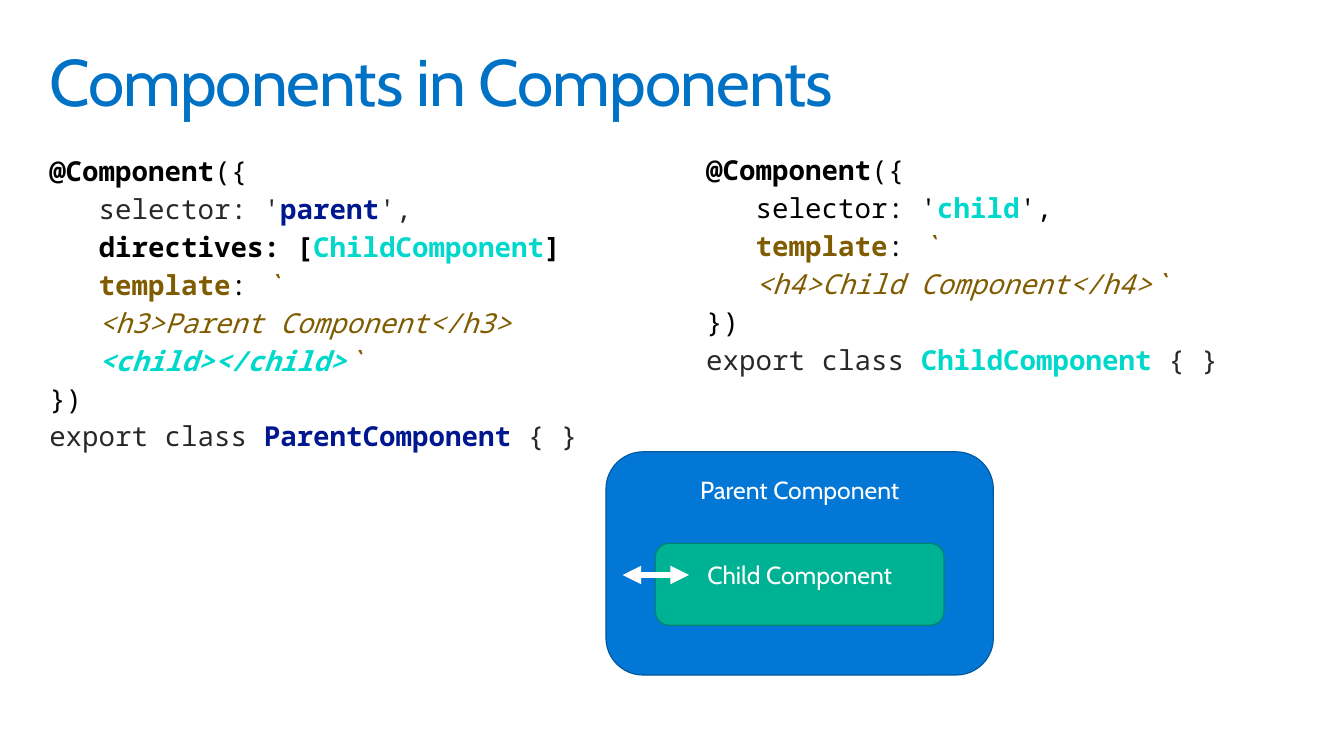
from dataclasses import dataclass

from lxml import etree
from pptx import Presentation
from pptx import util as u
from pptx.dml.color import RGBColor
from pptx.enum import shapes, text
from pptx.oxml import ns

WIDTH, HEIGHT = u.Inches(13.6), u.Inches(7.65)
COLUMNS, ROWS = 34, 17


@dataclass(frozen=True)
class Theme:
    heading: str = "0072C6"
    black: str = "000000"
    gray: str = "282828"
    navy: str = "00188F"
    aqua: str = "00D8CC"
    brown: str = "7F5C00"
    white: str = "FFFFFF"
    parent_fill: str = "0377D6"
    parent_line: str = "02589E"
    child_fill: str = "00B294"
    child_line: str = "00846D"
    font: str = "Cabin"
    code_font: str = "Noto Sans Mono"
    title_size: int = 48
    code_size: int = 20
    label_size: int = 18


T = Theme()

# Each code line is (indented, runs); a run is (words, colour, style letters).
OPENING = (False, [("@Component", T.black, "b"), ("({", T.black, "")])
TEMPLATE = (True, [("template", T.brown, "b"), (": ", T.black, ""), ("`", T.brown, "i")])
CLOSING = (False, [("})", T.black, "")])


def selector(name, colour, plain):
    return True, [("selector: '", plain, ""), (name, colour, "b"), ("',", plain, "")]


def export(name, colour):
    return False, [("export class ", T.gray, ""), (name + " ", colour, "b"),
                   ("{ }", T.gray, "")]


PARENT_CODE = [
    OPENING,
    selector("parent", T.navy, T.gray),
    (True, [("directives: [", T.black, "b"), ("ChildComponent", T.aqua, "b"),
            ("]", T.black, "b")]),
    TEMPLATE,
    (True, [("<h3>Parent Component</h3>", T.brown, "i")]),
    (True, [("<child></child>", T.aqua, "bi"), ("`", T.brown, "i")]),
    CLOSING,
    export("ParentComponent", T.navy),
]
CHILD_CODE = [
    OPENING,
    selector("child", T.aqua, T.black),
    TEMPLATE,
    (True, [("<h4>Child Component</h4>`", T.brown, "i")]),
    CLOSING,
    export("ChildComponent", T.aqua),
]


def col(n):
    return round(WIDTH * n / COLUMNS)


def row(n):
    return round(HEIGHT * n / ROWS)


def box(left, top, width, height):
    return col(left), row(top), col(width), row(height)


def rgb(colour):
    return RGBColor.from_string(colour)


def set_frame(tf, side, end):
    """Top-anchored, wrapping text with the given insets in inches."""
    tf.word_wrap = True
    tf.auto_size = text.MSO_AUTO_SIZE.NONE
    tf.vertical_anchor = text.MSO_ANCHOR.TOP
    tf.margin_left = tf.margin_right = u.Inches(side)
    tf.margin_top = tf.margin_bottom = u.Inches(end)


def set_paragraph(p, font, size, align=text.PP_ALIGN.LEFT):
    p.alignment = align
    p.line_spacing = 0.9
    p.font.name = font
    p.font.size = u.Pt(size)


def add_title(slide, words):
    sp = slide.shapes.title
    sp.left, sp.top, sp.width, sp.height = box(1, 0.89, 32, 2.22)
    set_frame(sp.text_frame, 0.1, 0.1)
    p = sp.text_frame.paragraphs[0]
    set_paragraph(p, T.font, T.title_size)
    p.font.color.rgb = rgb(T.heading)
    r = p.add_run()
    r.text = words
    r._r.get_or_add_rPr().set("spc", "-70")


def add_code(slide, place, lines):
    tf = slide.shapes.add_textbox(*place).text_frame
    set_frame(tf, 0.1, 0.1)
    for i, (indented, runs) in enumerate(lines):
        p = tf.add_paragraph() if i else tf.paragraphs[0]
        set_paragraph(p, T.code_font, T.code_size)
        p.space_before = u.Pt(6)
        if indented:
            p._p.get_or_add_pPr().set("marL", str(u.Inches(0.5)))
        for words, colour, style in runs:
            r = p.add_run()
            r.text = words
            r.font.color.rgb = rgb(colour)
            r.font.bold = "b" in style
            r.font.italic = "i" in style


def add_component(slide, place, label, fill, line):
    sp = slide.shapes.add_shape(shapes.MSO_SHAPE.ROUNDED_RECTANGLE, *place)
    sp.shadow.inherit = False
    sp.fill.solid()
    sp.fill.fore_color.rgb = rgb(fill)
    sp.line.color.rgb = rgb(line)
    sp.line.width = u.Pt(0.85)
    set_frame(sp.text_frame, 0.2, 0.16)
    p = sp.text_frame.paragraphs[0]
    set_paragraph(p, T.font, T.label_size, text.PP_ALIGN.CENTER)
    p.font.color.rgb = rgb(T.white)
    p.add_run().text = label


def add_double_arrow(slide, start, end, y):
    line = slide.shapes.add_connector(
        shapes.MSO_CONNECTOR.STRAIGHT, col(start), row(y), col(end), row(y))
    line.line.color.rgb = rgb(T.white)
    line.line.width = u.Pt(4.5)
    ln = line.line._get_or_add_ln()
    for tip in ("a:headEnd", "a:tailEnd"):
        etree.SubElement(ln, ns.qn(tip), type="triangle")
    etree.SubElement(line._element.spPr, ns.qn("a:effectLst"))


def main():
    prs = Presentation()
    prs.slide_width, prs.slide_height = WIDTH, HEIGHT
    slide = prs.slides.add_slide(prs.slide_layouts[5])
    add_title(slide, "Components in Components")
    add_code(slide, box(1, 3.33, 13.93, 7.16), PARENT_CODE)
    add_code(slide, box(17.62, 3.31, 13.93, 5.44), CHILD_CODE)
    add_component(slide, box(15.33, 10.16, 9.8, 5.02), "Parent Component",
                  T.parent_fill, T.parent_line)
    add_component(slide, box(16.58, 12.22, 7.3, 1.84), "Child Component",
                  T.child_fill, T.child_line)
    add_double_arrow(slide, 17.43, 15.75, 12.93)
    prs.save("out.pptx")


if __name__ == "__main__":
    main()
